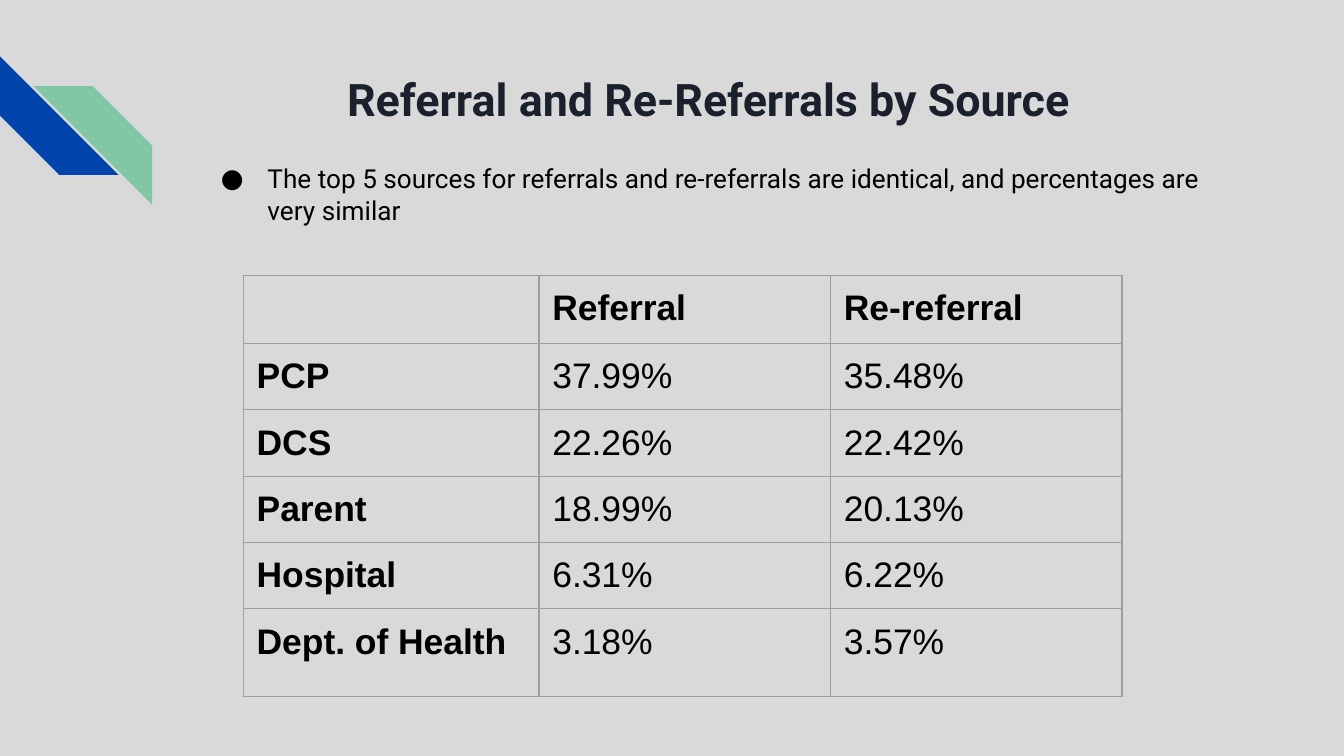
from lxml.etree import SubElement
from pptx import Presentation
from pptx.dml.color import RGBColor
from pptx.enum.shapes import MSO_SHAPE
from pptx.enum.text import MSO_ANCHOR, MSO_AUTO_SIZE, PP_ALIGN
from pptx.oxml.ns import qn
from pptx.util import Pt

COLORS = {
    "background": "D9D9D9",
    "blue": "0145AC",
    "green": "82C7A5",
    "title": "1B212C",
    "text": "000000",
    "border": "9E9E9E",
}
SOURCES = [
    ("", "Referral", "Re-referral"),
    ("PCP", "37.99%", "35.48%"),
    ("DCS", "22.26%", "22.42%"),
    ("Parent", "18.99%", "20.13%"),
    ("Hospital", "6.31%", "6.22%"),
    ("Dept. of Health", "3.18%", "3.57%"),
]


class SlideBuilder:
    """Holds the style and the current slide, and adds each kind of element."""

    heading_font = "Roboto"
    table_font = "Arial"
    inset = Pt(7.2)

    def __init__(self, presentation):
        self.slide = presentation.slides.add_slide(presentation.slide_layouts[1])
        fill = self.slide.background.fill
        fill.solid()
        fill.fore_color.rgb = self.color("background")

    def color(self, name):
        return RGBColor.from_string(COLORS[name])

    def format_runs(self, paragraph, font, size, color, bold=False):
        for run in paragraph.runs:
            run.font.name = font
            run.font.size = Pt(size)
            run.font.bold = bold
            run.font.color.rgb = self.color(color)

    def stripe(self, left, top, size, color, rotation=0, flip=False):
        shape = self.slide.shapes.add_shape(
            MSO_SHAPE.DIAGONAL_STRIPE, Pt(left), Pt(top), Pt(size), Pt(size))
        shape.adjustments[0] = 0.5
        shape.rotation = rotation
        shape.shadow.inherit = False
        shape.fill.solid()
        shape.fill.fore_color.rgb = self.color(color)
        shape.line.fill.background()
        if flip:
            shape._element.spPr.find(qn("a:xfrm")).set("flipH", "1")

    def place_text(self, shape, text, left, top, width, height):
        shape.left, shape.top = Pt(left), Pt(top)
        shape.width, shape.height = Pt(width), Pt(height)
        frame = shape.text_frame
        frame.text = text
        frame.word_wrap = True
        frame.auto_size = MSO_AUTO_SIZE.NONE
        frame.vertical_anchor = MSO_ANCHOR.TOP
        frame.margin_left = frame.margin_right = self.inset
        frame.margin_top = frame.margin_bottom = self.inset
        paragraph = frame.paragraphs[0]
        paragraph.space_before = Pt(0)
        return paragraph

    def title(self, text, *box):
        paragraph = self.place_text(self.slide.shapes.title, text, *box)
        paragraph.alignment = PP_ALIGN.CENTER
        self.format_runs(paragraph, self.heading_font, 24, "title", bold=True)

    def bullet(self, text, *box):
        paragraph = self.place_text(self.slide.placeholders[1], text, *box)
        self.format_runs(paragraph, self.heading_font, 14, "text")
        properties = paragraph._p.get_or_add_pPr()
        properties.set("marL", str(Pt(36)))
        properties.set("indent", str(Pt(-25)))
        bullet_color = SubElement(properties, qn("a:buClr"))
        SubElement(bullet_color, qn("a:srgbClr"), val=COLORS["text"])
        SubElement(properties, qn("a:buFont"), typeface=self.heading_font)
        SubElement(properties, qn("a:buChar"), char="●")

    def cell_borders(self, cell):
        properties = cell._tc.get_or_add_tcPr()
        for position, side in enumerate(("lnL", "lnR", "lnT", "lnB")):
            line = SubElement(properties, qn(f"a:{side}"), w=str(Pt(0.75)))
            fill = SubElement(line, qn("a:solidFill"))
            SubElement(fill, qn("a:srgbClr"), val=COLORS["border"])
            properties.insert(position, line)

    def table(self, rows, left, top, column_widths, row_heights):
        table = self.slide.shapes.add_table(
            len(rows), len(column_widths), Pt(left), Pt(top),
            Pt(sum(column_widths)), Pt(sum(row_heights))).table
        table.first_row = table.horz_banding = False
        for column, width in zip(table.columns, column_widths):
            column.width = Pt(width)
        for row, height in zip(table.rows, row_heights):
            row.height = Pt(height)
        for row_index, values in enumerate(rows):
            for column_index, value in enumerate(values):
                cell = table.cell(row_index, column_index)
                cell.text_frame.text = value
                cell.margin_left = cell.margin_right = self.inset
                cell.margin_top = cell.margin_bottom = self.inset
                cell.fill.background()
                self.cell_borders(cell)
                self.format_runs(cell.text_frame.paragraphs[0], self.table_font, 19,
                                 "text", bold=row_index == 0 or column_index == 0)


def main():
    presentation = Presentation()
    presentation.slide_width, presentation.slide_height = Pt(720), Pt(405)
    builder = SlideBuilder(presentation)
    builder.stripe(0, 30.2, 63.5, "blue", rotation=270)
    builder.stripe(18, 46.2, 63.5, "green", flip=True)
    builder.title("Referral and Re-Referrals by Source", 102.2, 31, 554.4, 40.3)
    builder.table(SOURCES, 130.3, 147.6, [158.4, 156.2, 156.2], [35.4] * 5 + [47])
    builder.bullet("The top 5 sources for referrals and re-referrals are identical, "
                   "and percentages are very similar", 100.1, 79.9, 558, 48.2)
    presentation.save("out.pptx")


if __name__ == "__main__":
    main()
